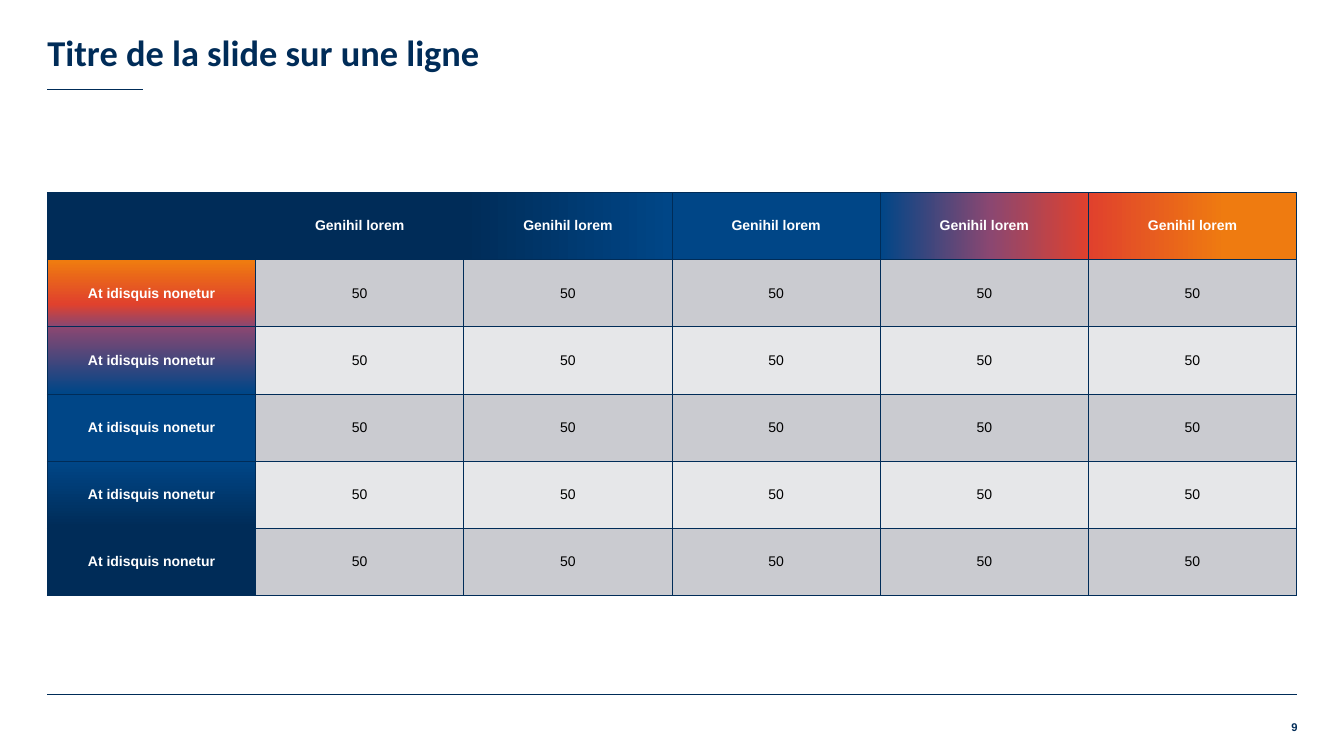
import lxml.etree
import pptx
import pptx.dml.color
import pptx.enum.shapes
import pptx.enum.text
import pptx.oxml.ns
import pptx.util

Inches = pptx.util.Inches
Align = pptx.enum.text.PP_ALIGN
Anchor = pptx.enum.text.MSO_ANCHOR
qn = pptx.oxml.ns.qn

THEME = {
    "navy": "002C58", "blue": "004687", "plum": "8B4771", "red": "E0412D",
    "orange": "EF7B10", "dark_band": "CACBD0", "light_band": "E6E7E9",
    "white": "FFFFFF", "black": "000000",
    "title_font": "Calibri", "body_font": "Arial",
    "title_size": 26, "table_size": 10, "number_size": 8, "line_width": 0.75,
}

TITLE = "Titre de la slide sur une ligne"
PAGE_NUMBER = "9"
ROWS = [["", *["Genihil lorem"] * 5]] + [["At idisquis nonetur", *["50"] * 5]] * 5

# A fill is a list of (percent, colour) stops; a single stop is a plain colour.
HEADER_FILLS = [
    [(0, "navy")],
    [(0, "navy")],
    [(0, "navy"), (100, "blue")],
    [(0, "blue")],
    [(0, "blue"), (53, "plum"), (100, "red")],
    [(0, "red"), (66, "orange"), (100, "orange")],
]
LABEL_FILLS = [
    [(0, "plum"), (1, "plum"), (34, "red"), (98, "orange"), (100, "orange")],
    [(0, "blue"), (2, "blue"), (100, "plum")],
    [(0, "blue")],
    [(0, "navy"), (2, "navy"), (100, "blue")],
    [(0, "navy")],
]
RIGHTWARD, UPWARD = 0, 270

LEFT, WIDTH = 0.47, 12.39
TABLE_TOP, TABLE_HEIGHT = 1.91, 4
RULES = [(6.89, WIDTH), (0.89, 0.95)]


def rgb(name):
    return pptx.dml.color.RGBColor.from_string(THEME[name])


def write(frame, text, font, size, color, bold, align):
    para = frame.paragraphs[0]
    para.alignment = align
    span = para.add_run()
    span.text = text
    look = {"name": THEME[font], "size": pptx.util.Pt(THEME[size]), "bold": bold}
    for key, value in look.items():
        setattr(span.font, key, value)
    span.font.color.rgb = rgb(color)


def add_text(page, place, anchor, *text_format):
    frame = page.shapes.add_textbox(*map(Inches, place)).text_frame
    settings = {"word_wrap": True, "vertical_anchor": anchor, "margin_left": 0,
                "margin_right": 0, "margin_top": 0, "margin_bottom": 0}
    for key, value in settings.items():
        setattr(frame, key, value)
    write(frame, *text_format)


def add_rule(page, top, width):
    rule = page.shapes.add_connector(
        pptx.enum.shapes.MSO_CONNECTOR.STRAIGHT,
        Inches(LEFT), Inches(top), Inches(LEFT + width), Inches(top))
    rule.line.color.rgb = rgb("navy")
    rule.line.width = pptx.util.Pt(THEME["line_width"])
    lxml.etree.SubElement(rule._element.spPr, qn("a:effectLst"))


def add_color(parent, name):
    lxml.etree.SubElement(parent, qn("a:srgbClr"), val=THEME[name])


def paint(cell, stops, angle):
    """Give a cell its borders, then its plain or gradient fill."""
    properties = cell._tc.get_or_add_tcPr()
    for side in ("a:lnL", "a:lnR", "a:lnT", "a:lnB"):
        border = lxml.etree.SubElement(
            properties, qn(side), w=str(pptx.util.Pt(THEME["line_width"])))
        add_color(lxml.etree.SubElement(border, qn("a:solidFill")), "navy")
    if len(stops) == 1:
        cell.fill.solid()
        cell.fill.fore_color.rgb = rgb(stops[0][1])
        return
    gradient = lxml.etree.SubElement(properties, qn("a:gradFill"), rotWithShape="1")
    stop_list = lxml.etree.SubElement(gradient, qn("a:gsLst"))
    for percent, name in stops:
        stop = lxml.etree.SubElement(stop_list, qn("a:gs"), pos=str(percent * 1000))
        add_color(stop, name)
    lxml.etree.SubElement(gradient, qn("a:lin"), ang=str(angle * 60000), scaled="0")


def cell_fill(row, column):
    if row == 0:
        return HEADER_FILLS[column], RIGHTWARD
    if column == 0:
        return LABEL_FILLS[row - 1], UPWARD
    return [(0, "dark_band" if row % 2 else "light_band")], RIGHTWARD


def add_grid(page):
    table = page.shapes.add_table(
        len(ROWS), len(ROWS[0]), Inches(LEFT), Inches(TABLE_TOP),
        Inches(WIDTH), Inches(TABLE_HEIGHT)).table
    table.first_row = table.horz_banding = False
    for row, texts in enumerate(ROWS):
        for column, text in enumerate(texts):
            cell = table.cell(row, column)
            cell.vertical_anchor = Anchor.MIDDLE
            paint(cell, *cell_fill(row, column))
            heading = row == 0 or column == 0
            if text:
                write(cell.text_frame, text, "body_font", "table_size",
                      "white" if heading else "black", heading, Align.CENTER)


def main():
    deck = pptx.Presentation()
    deck.slide_width, deck.slide_height = Inches(13.33), Inches(7.5)
    page = deck.slides.add_slide(deck.slide_layouts[6])
    for top, width in RULES:
        add_rule(page, top, width)
    add_text(page, (12.48, 7.15, 0.39, 0.2), Anchor.TOP, PAGE_NUMBER,
             "body_font", "number_size", "navy", True, Align.RIGHT)
    add_grid(page)
    add_text(page, (LEFT, 0, WIDTH, 0.73), Anchor.BOTTOM, TITLE,
             "title_font", "title_size", "navy", True, Align.LEFT)
    deck.save("out.pptx")


if __name__ == "__main__":
    main()
